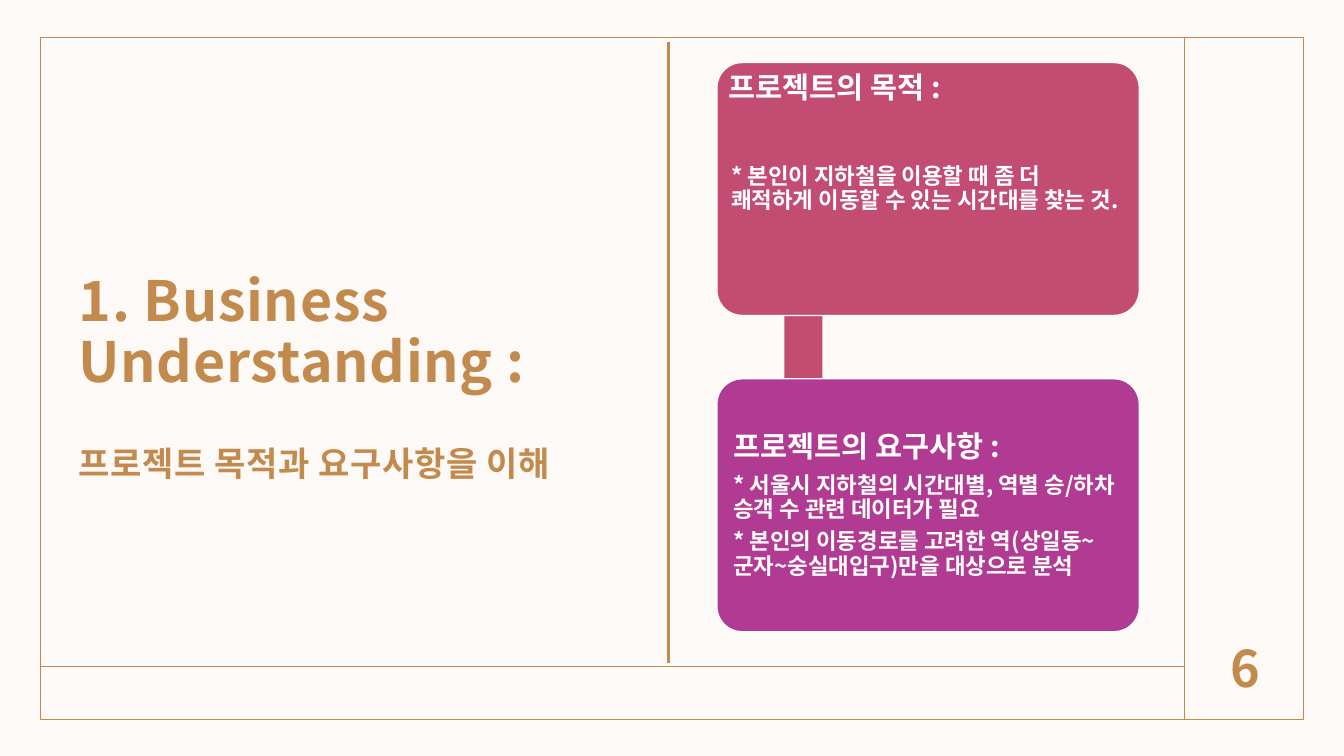
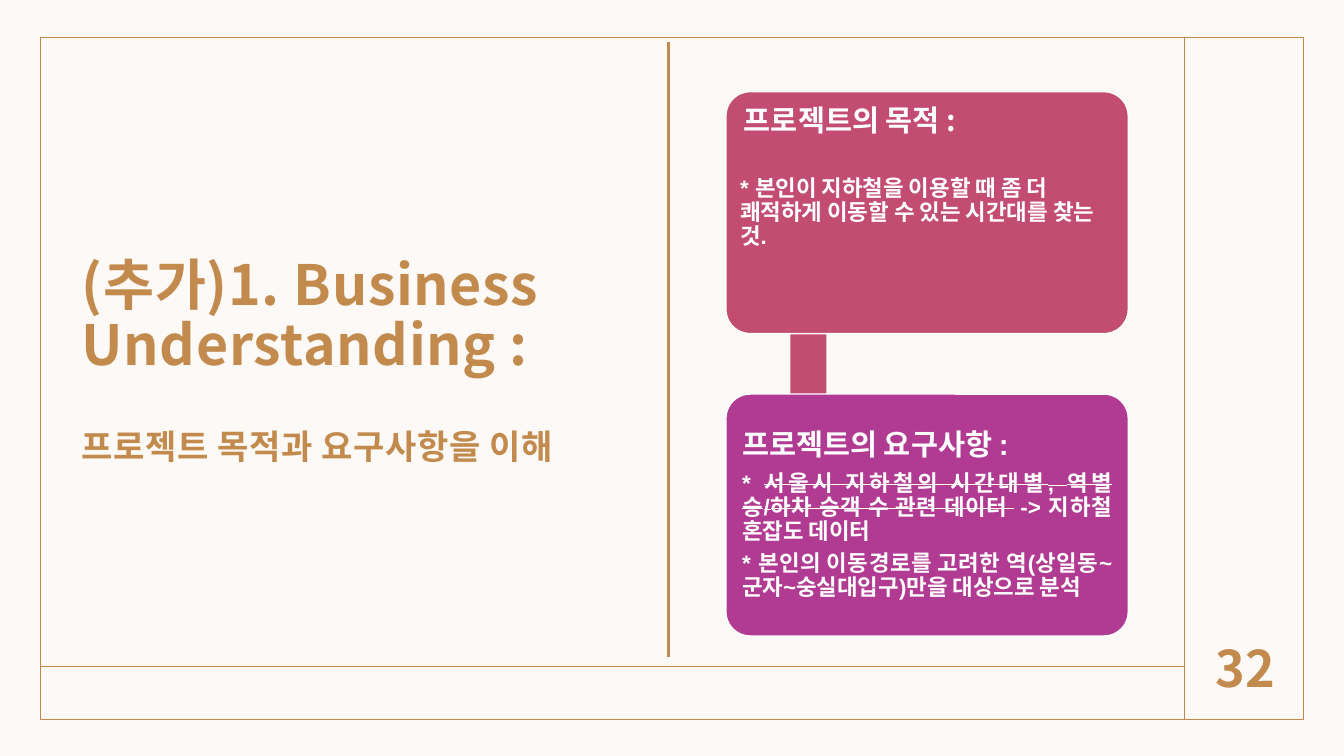
from pptx import Presentation
from pptx.dml.color import RGBColor
from pptx.enum.shapes import MSO_CONNECTOR, MSO_SHAPE
from pptx.enum.text import MSO_ANCHOR, MSO_AUTO_SIZE, PP_ALIGN
from pptx.oxml.ns import qn
from pptx.util import Inches, Pt
from lxml import etree

RECT, ROUNDED = MSO_SHAPE.RECTANGLE, MSO_SHAPE.ROUNDED_RECTANGLE
STRAIGHT = MSO_CONNECTOR.STRAIGHT
TOP, MIDDLE, BOTTOM = MSO_ANCHOR.TOP, MSO_ANCHOR.MIDDLE, MSO_ANCHOR.BOTTOM
LEFT, CENTER, JUSTIFY = PP_ALIGN.LEFT, PP_ALIGN.CENTER, PP_ALIGN.JUSTIFY
NO_AUTOFIT = MSO_AUTO_SIZE.NONE

COLORS = {"paper": "FCF9F6", "gold": "C38A4D", "rose": "C34D72",
          "purple": "B13B92", "white": "FFFFFF"}
KOREAN, LATIN = "Noto Sans CJK KR", "Arial"
TITLE_INSETS = (0.12, 0.12, 0.12, 0.1)

SUBTITLE = "프로젝트 목적과 요구사항을 이해"
PURPOSE_HEADING = "프로젝트의 목적 :"
PURPOSE = "* 본인이 지하철을 이용할 때 좀 더 쾌적하게 이동할 수 있는 시간대를 찾는 것."
NEEDS_HEADING = "프로젝트의 요구사항 :"
ROUTE = "* 본인의 이동경로를 고려한 역(상일동~ 군자~숭실대입구)만을 대상으로 분석"

# Card positions: left, top, width, height
SLIDES = [
    {"number": "6", "title": "1. Business Understanding :",
     "title_at": (0.66, 2.39), "divider_end": 6.58,
     "card": (7.11, 0.62, 4.19, 2.51), "heading_at": (7.13, 0.64),
     "font": KOREAN, "align": LEFT,
     "data_need": [("* 서울시 지하철의 시간대별, 역별 승/하차 승객 수 관련 데이터가 필요", False)]},
    {"number": "32", "title": "(추가)1. Business Understanding :",
     "title_at": (0.69, 2.23), "divider_end": 6.52,
     "card": (7.2, 0.91, 3.99, 2.4), "heading_at": (7.28, 0.97),
     "font": LATIN, "align": JUSTIFY,
     "data_need": [("* ", False),
                   ("서울시 지하철의 시간대별, 역별 승/하차 승객 수 관련 데이터 ", True),
                   (" -> 지하철 혼잡도 데이터", False)]},
]


def rgb(name):
    return RGBColor.from_string(COLORS[name])


def add_run(paragraph, text, size, color="white", font=KOREAN, spacing=0, strike=False):
    run = paragraph.add_run()
    run.text = text
    run.font.size = Pt(size)
    run.font.bold = True
    run.font.name = font
    run.font.color.rgb = rgb(color)
    props = run._r.get_or_add_rPr()
    east_asian = etree.SubElement(props, qn("a:ea"))
    east_asian.set("typeface", KOREAN)
    if spacing:
        props.set("spc", str(int(spacing * 100)))
    if strike:
        props.set("strike", "sngStrike")


def format_paragraph(paragraph, line, align=LEFT, before=0, after=0):
    paragraph.alignment = align
    paragraph.line_spacing = Pt(line)
    paragraph.space_before = Pt(before)
    paragraph.space_after = Pt(after)


def set_frame(frame, anchor, insets):
    frame.word_wrap = True
    frame.auto_size = NO_AUTOFIT
    frame.vertical_anchor = anchor
    (frame.margin_left, frame.margin_top,
     frame.margin_right, frame.margin_bottom) = map(Inches, insets)
    return frame


def add_box(slide, kind, at, fill=None, line=None):
    box = slide.shapes.add_shape(kind, *map(Inches, at))
    box.shadow.inherit = False
    if fill:
        box.fill.solid()
        box.fill.fore_color.rgb = rgb(fill)
    else:
        box.fill.background()
    if line:
        box.line.color.rgb = rgb(line)
        box.line.width = Pt(1)
    else:
        box.line.fill.background()
    return box


def add_rule(slide, x1, y1, x2, y2, width=1):
    rule = slide.shapes.add_connector(STRAIGHT, *map(Inches, (x1, y1, x2, y2)))
    rule.line.color.rgb = rgb("gold")
    rule.line.width = Pt(width)
    etree.SubElement(rule._element.spPr, qn("a:effectLst"))
    return rule


def add_text_box(slide, at, anchor, insets):
    box = slide.shapes.add_textbox(*map(Inches, at))
    return set_frame(box.text_frame, anchor, insets)


def build_layout(layout, slide):
    """Give the layout its paper colour and ruled frame, drawn via one slide."""
    for placeholder in list(layout.placeholders):
        if placeholder.placeholder_format.idx:
            placeholder._element.getparent().remove(placeholder._element)
    layout.background.fill.solid()
    layout.background.fill.fore_color.rgb = rgb("paper")
    for part in (add_box(slide, RECT, (0.4, 0.37, 12.53, 6.77), line="gold"),
                 add_rule(slide, 11.75, 0.37, 11.75, 7.13),
                 add_rule(slide, 0.41, 6.61, 11.75, 6.61)):
        layout.shapes._spTree.append(part._element)


def add_title(slide, text, left, top):
    title = slide.shapes.title
    title.left, title.top = Inches(left), Inches(top)
    title.width, title.height = Inches(5.69), Inches(2.5)
    frame = set_frame(title.text_frame, BOTTOM, TITLE_INSETS)
    heading = frame.paragraphs[0]
    format_paragraph(heading, 43)
    add_run(heading, text, 39.6, "gold", spacing=0.5)
    subtitle = frame.add_paragraph()
    format_paragraph(subtitle, 29, before=35)
    add_run(subtitle, SUBTITLE, 24.3, "gold", spacing=0.5)


def add_page_number(slide, number):
    frame = add_text_box(slide, (11.83, 6.2, 1.04, 0.83), MIDDLE, TITLE_INSETS)
    format_paragraph(frame.paragraphs[0], 43, CENTER)
    add_run(frame.paragraphs[0], number, 36, "gold")


def add_card(slide, at, fill, inset, paragraphs, font, align):
    """Paragraphs are (size, [(text, struck out)])."""
    card = add_box(slide, ROUNDED, at, fill, "white")
    card.adjustments[0] = 0.1
    frame = set_frame(card.text_frame, MIDDLE, (inset,) * 4)
    for index, (size, runs) in enumerate(paragraphs):
        paragraph = frame.add_paragraph() if index else frame.paragraphs[0]
        format_paragraph(paragraph, size * 1.08, align, after=size * 0.35)
        for text, strike in runs:
            add_run(paragraph, text, size, font=font, strike=strike)


def add_cards(slide, content):
    left, top, width, height = content["card"]
    font, align = content["font"], content["align"]
    gap = height / 4
    # Bar that joins the two cards
    add_box(slide, RECT, (left + 0.16 * width, top + height, 0.09 * width, gap), "rose")
    add_card(slide, (left, top, width, height), "rose", 0.07,
             [(16, [(PURPOSE, False)])], font, LEFT)
    add_card(slide, (left, top + height + gap, width, height), "purple", 0.09,
             [(21, [(NEEDS_HEADING, False)]), (16, content["data_need"]),
              (16, [(ROUTE, False)])], font, align)
    # Heading of the first card
    frame = add_text_box(slide, (*content["heading_at"], 2.72, 0.45), TOP,
                         (0.1, 0.05, 0.1, 0.05))
    format_paragraph(frame.paragraphs[0], 25)
    add_run(frame.paragraphs[0], PURPOSE_HEADING, 21)


def main():
    deck = Presentation()
    deck.slide_width, deck.slide_height = Inches(13.33), Inches(7.5)
    layout = deck.slide_layouts[5]
    for index, content in enumerate(SLIDES):
        slide = deck.slides.add_slide(layout)
        if index == 0:
            build_layout(layout, slide)
        add_page_number(slide, content["number"])
        add_cards(slide, content)
        add_title(slide, content["title"], *content["title_at"])
        add_rule(slide, 6.63, 0.42, 6.63, content["divider_end"], 1.5)
    deck.save("out.pptx")


if __name__ == "__main__":
    main()
